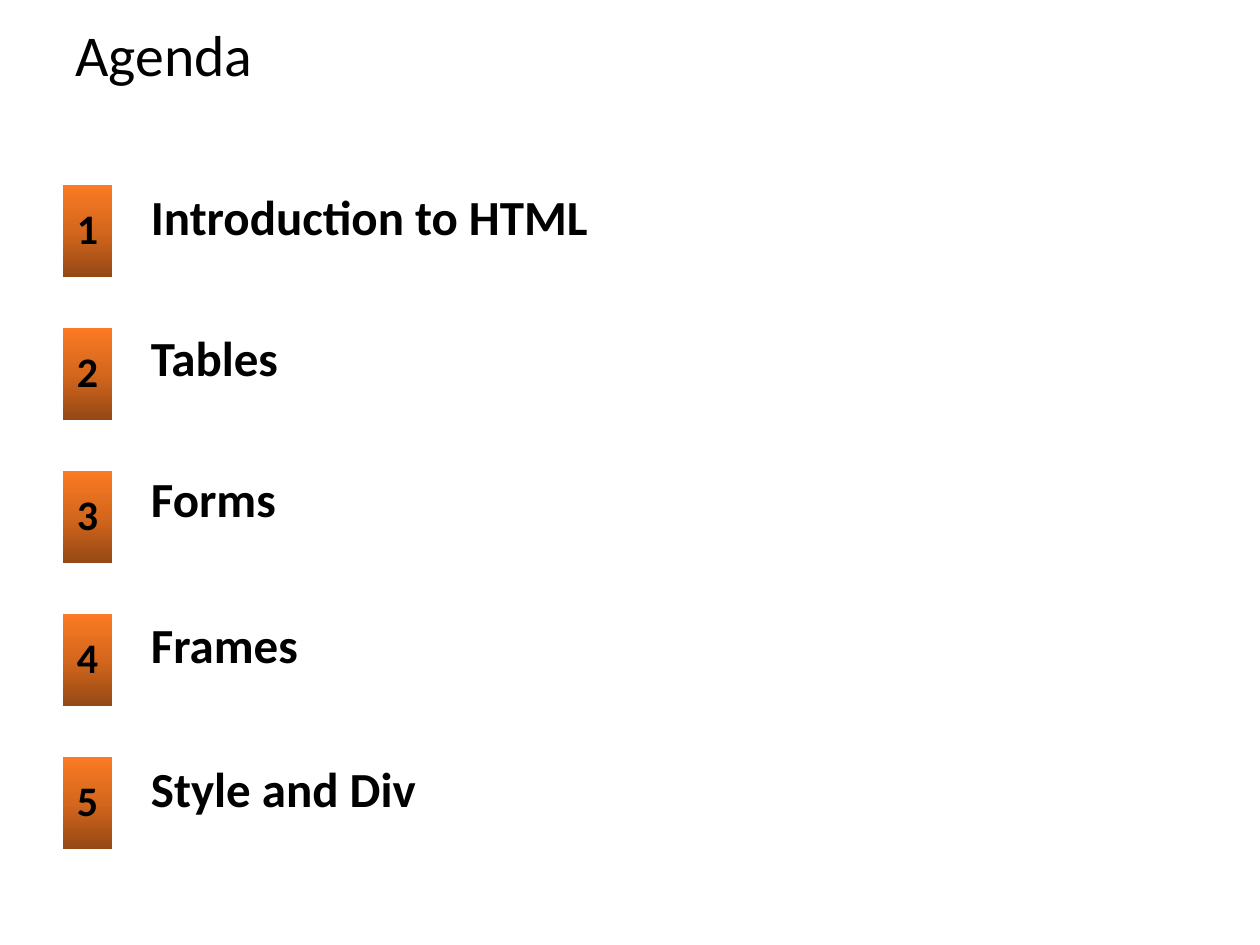
import copy

import pptx
import pptx.dml.color
import pptx.enum.shapes
import pptx.enum.text
import pptx.util

Pt = pptx.util.Pt
RGBColor = pptx.dml.color.RGBColor
ALIGN = pptx.enum.text.PP_ALIGN
ANCHOR = pptx.enum.text.MSO_ANCHOR

BLACK = RGBColor(0x00, 0x00, 0x00)
BROWN = RGBColor(0x95, 0x48, 0x15)
RUST = RGBColor(0xD4, 0x67, 0x1D)
ORANGE = RGBColor(0xFB, 0x7A, 0x23)

TOPICS = [
    ("Introduction to HTML", 106.56),
    ("Tables", 187.2),
    ("Forms", 267.84),
    ("Frames", 351.36),
    ("Style and Div", 433.44),
]
BADGE_TOP = 105.84
BADGE_PITCH = 81.72


def write_text(box, text, size, bold, align, anchor, space_before):
    """Write one formatted paragraph into a box."""
    frame = box.text_frame
    frame.word_wrap = True
    frame.auto_size = pptx.enum.text.MSO_AUTO_SIZE.NONE
    frame.vertical_anchor = anchor
    frame.text = text
    para = frame.paragraphs[0]
    para.alignment = align
    para.line_spacing = 0.9
    para.space_before = Pt(space_before)
    para.font.name = "Calibri"
    para.font.size = Pt(size)
    para.font.bold = bold
    para.font.color.rgb = BLACK


def fill_gradient(box):
    """Shade a box from brown at its foot to orange at its top."""
    box.fill.gradient()
    box.fill.gradient_angle = 90
    stop_list = box.fill._fill._gradFill.gsLst
    stop_list.insert(1, copy.deepcopy(stop_list[0]))
    stops = zip(box.fill.gradient_stops, (0, 0.5, 1), (BROWN, RUST, ORANGE))
    for stop, position, color in stops:
        stop.position = position
        stop.color.rgb = color


def place_title(page, left, top, width, height):
    """Place the slide title in the given box."""
    title = page.shapes.title
    title.left, title.top = Pt(left), Pt(top)
    title.width, title.height = Pt(width), Pt(height)
    write_text(title, "Agenda", 33, False, ALIGN.LEFT, ANCHOR.MIDDLE, 0)


def place_label(page, text, left, top, width, height):
    """Place a topic label in the given box."""
    label = page.shapes.add_textbox(Pt(left), Pt(top), Pt(width), Pt(height))
    write_text(label, text, 28, True, ALIGN.LEFT, ANCHOR.TOP, 7.5)


def place_badge(page, number, left, top, width, height):
    """Place a numbered gradient badge in the given box."""
    badge = page.shapes.add_shape(
        pptx.enum.shapes.MSO_SHAPE.RECTANGLE,
        Pt(left), Pt(top), Pt(width), Pt(height),
    )
    badge.shadow.inherit = False
    badge.line.fill.background()
    fill_gradient(badge)
    write_text(badge, str(number), 24, True, ALIGN.CENTER, ANCHOR.MIDDLE, 7.5)


def build_agenda(deck):
    """Add the agenda slide to the deck."""
    page = deck.slides.add_slide(deck.slide_layouts.get_by_name("Title Only"))
    place_title(page, 36, 11.52, 645.12, 43.2)
    for index, (topic, label_top) in enumerate(TOPICS):
        place_label(page, topic, 79.2, label_top, 595.44, 51.12)
        badge_top = BADGE_TOP + index * BADGE_PITCH
        place_badge(page, index + 1, 36, badge_top, 28.08, 52.56)


deck = pptx.Presentation()
deck.slide_width, deck.slide_height = Pt(720), Pt(540)
build_agenda(deck)
deck.save("out.pptx")
